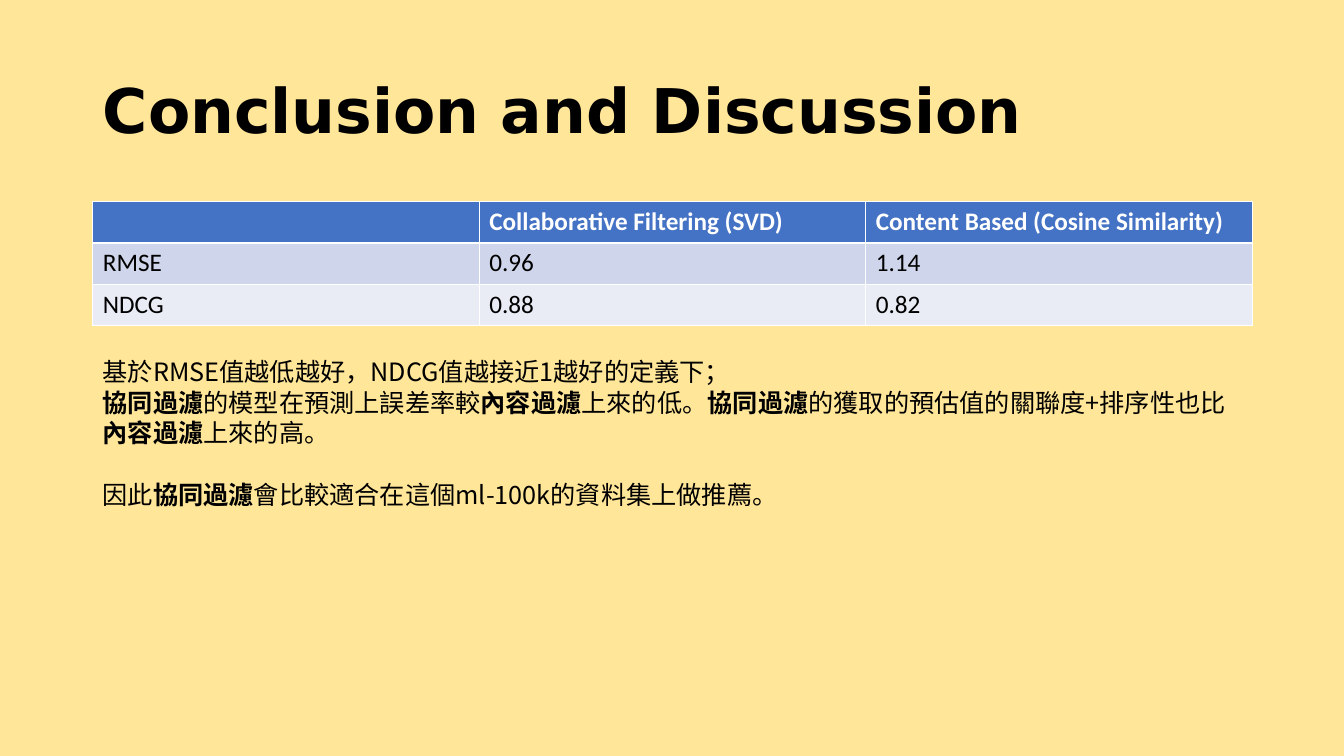
from lxml import etree
from pptx import Presentation
from pptx.dml.color import RGBColor
from pptx.enum.text import MSO_ANCHOR, MSO_AUTO_SIZE, PP_ALIGN
from pptx.oxml.ns import qn
from pptx.util import Inches, Pt

CREAM = RGBColor(0xFF, 0xE6, 0x99)
BLACK = RGBColor(0, 0, 0)
WHITE = RGBColor(0xFF, 0xFF, 0xFF)
HEADER_BLUE = RGBColor(0x44, 0x72, 0xC4)
BAND_FILLS = [RGBColor(0xE9, 0xEB, 0xF5), RGBColor(0xCF, 0xD5, 0xEA)]

LEFT, WIDTH = Inches(0.92), Inches(11.5)
ROW_HEIGHT = Inches(0.41)
LINE = Pt(21.9)
CJK_FONT = "Noto Sans CJK SC"

TITLE = {"name": "DejaVu Sans", "size": Pt(44), "bold": True}
HEADER = {"name": "Calibri", "size": Pt(18), "bold": True}
CELL = {"name": "Calibri", "size": Pt(18), "bold": False}
BODY = {"name": CJK_FONT, "size": Pt(18)}

SCORES = [
    ["", "Collaborative Filtering (SVD)", "Content Based (Cosine Similarity)"],
    ["RMSE", "0.96", "1.14"],
    ["NDCG", "0.88", "0.82"],
]
CONCLUSIONS = [
    ("基於RMSE值越低越好，NDCG值越接近1越好的定義下；", Pt(0)),
    ("*協同過濾*的模型在預測上誤差率較*內容過濾*上來的低。"
     "*協同過濾*的獲取的預估值的關聯度+排序性也比*內容過濾*上來的高。", Pt(0)),
    ("因此*協同過濾*會比較適合在這個ml-100k的資料集上做推薦。", LINE),
]


def add_run(p, text, style, color=BLACK):
    r = p.add_run()
    r.text = text
    for name, value in style.items():
        setattr(r.font, name, value)
    r.font.color.rgb = color
    return r


def add_title(slide, text):
    sp = slide.shapes.title
    sp.left, sp.top, sp.width, sp.height = LEFT, Inches(0.4), WIDTH, Inches(1.45)
    tf = sp.text_frame
    tf.vertical_anchor = MSO_ANCHOR.MIDDLE
    p = tf.paragraphs[0]
    p.alignment = PP_ALIGN.LEFT
    p.line_spacing = 0.9
    add_run(p, text, TITLE)


def add_score_table(slide, rows):
    table = slide.shapes.add_table(len(rows), len(rows[0]), LEFT, Inches(2),
                                   WIDTH, ROW_HEIGHT * len(rows)).table
    for i, row in enumerate(rows):
        fill, style, color = ((BAND_FILLS[i % 2], CELL, BLACK) if i
                              else (HEADER_BLUE, HEADER, WHITE))
        for j, text in enumerate(row):
            cell = table.cell(i, j)
            cell.fill.solid()
            cell.fill.fore_color.rgb = fill
            if text:
                add_run(cell.text_frame.paragraphs[0], text, style, color)


def add_conclusions(slide, paragraphs):
    tf = slide.shapes.add_textbox(LEFT, Inches(3.48), WIDTH, Inches(1.62)).text_frame
    tf.word_wrap = True
    tf.auto_size = MSO_AUTO_SIZE.SHAPE_TO_FIT_TEXT
    for i, (text, gap) in enumerate(paragraphs):
        p = tf.add_paragraph() if i else tf.paragraphs[0]
        p.line_spacing = LINE
        p.space_before = gap
        for k, part in enumerate(text.split("*")):
            if part:
                r = add_run(p, part, {**BODY, "bold": k % 2 == 1})
                etree.SubElement(r.font._element, qn("a:ea"), typeface=CJK_FONT)


def main():
    prs = Presentation()
    prs.slide_width, prs.slide_height = Inches(13.33), Inches(7.5)
    slide = prs.slides.add_slide(prs.slide_layouts[5])
    slide.background.fill.solid()
    slide.background.fill.fore_color.rgb = CREAM
    add_title(slide, "Conclusion and Discussion")
    add_score_table(slide, SCORES)
    add_conclusions(slide, CONCLUSIONS)
    prs.save("out.pptx")


if __name__ == "__main__":
    main()
